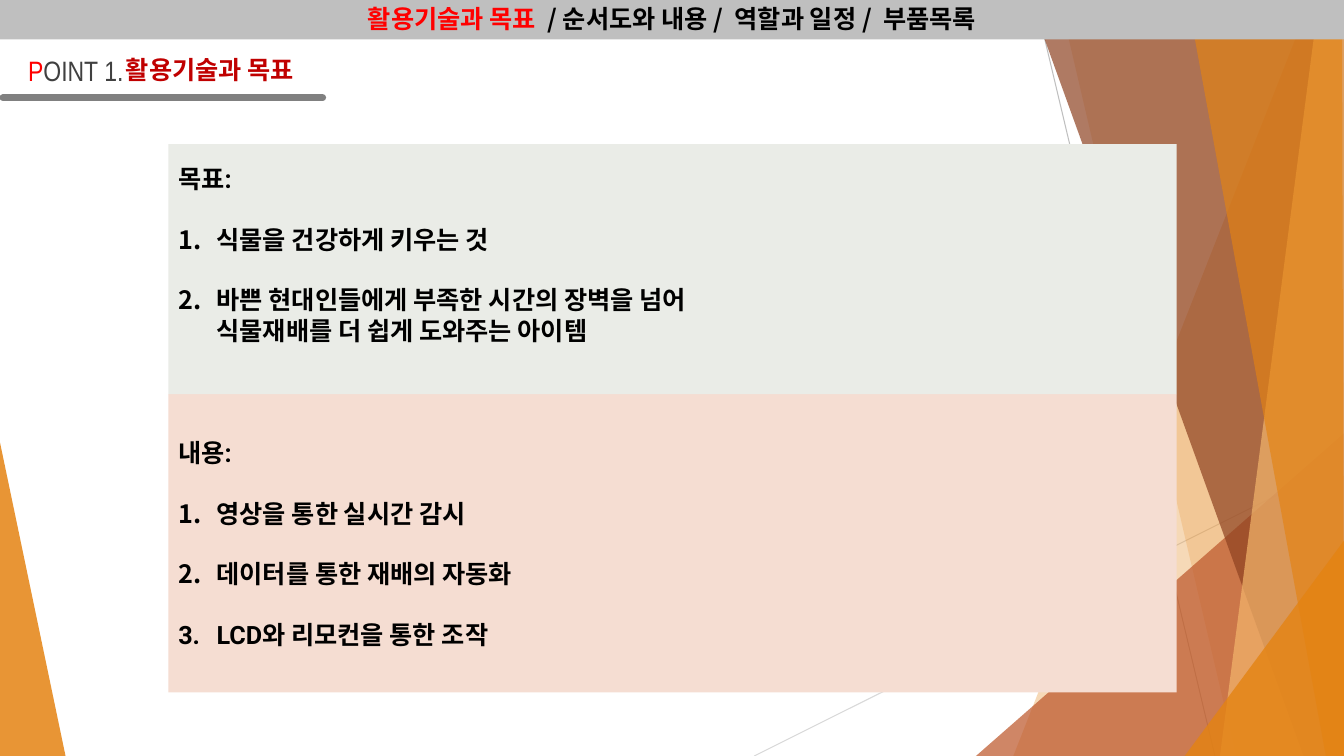
from dataclasses import dataclass

from pptx import Presentation
from pptx.dml.color import RGBColor
from pptx.enum.shapes import MSO_CONNECTOR, MSO_SHAPE
from pptx.enum.text import MSO_ANCHOR, PP_ALIGN
from pptx.oxml.ns import qn
from pptx.util import Inches, Pt


@dataclass(frozen=True)
class Theme:
    orange: str = "E48312"
    light_orange: str = "F3B56C"
    rust: str = "BD582C"
    brown: str = "8E4221"
    thin_line: str = "D9D9D9"
    bar: str = "BFBFBF"
    rule: str = "808080"
    goal_fill: str = "EAECE7"
    content_fill: str = "F5DDD2"
    black: str = "000000"
    dark: str = "404040"
    red: str = "FF0000"
    deep_red: str = "C00000"
    body_font: str = "Roboto"
    korean_font: str = "Noto Sans CJK KR"
    label_font: str = "Arial Narrow"
    text_size: int = 18
    label_size: int = 20


def add_text(paragraph, text, *, font, size, color, bold=False, east_asian=None):
    """Append a formatted run; a line feed in the text becomes a line break."""
    for index, line in enumerate(text.split("\n")):
        if index:
            paragraph.add_line_break()
        run = paragraph.add_run()
        run.text = line
        run.font.name = font
        run.font.size = Pt(size)
        run.font.bold = bold
        run.font.color.rgb = RGBColor.from_string(color)
        properties = run._r.get_or_add_rPr()
        properties.makeelement(qn("a:ea"), {})
        east = properties.makeelement(qn("a:ea"), {"typeface": east_asian or font})
        properties.find(qn("a:latin")).addnext(east)


class SlideBuilder:
    def __init__(self, slide, theme):
        self.shapes = slide.shapes
        self.theme = theme

    def paint(self, shape, color, opacity=100):
        shape.shadow.inherit = False
        shape.fill.solid()
        shape.fill.fore_color.rgb = RGBColor.from_string(color)
        shape.line.fill.background()
        if opacity < 100:
            color_element = shape._element.spPr.find(qn("a:solidFill"))[0]
            alpha = color_element.makeelement(qn("a:alpha"), {"val": str(opacity * 1000)})
            color_element.append(alpha)

    def polygon(self, points, color, opacity):
        corners = [(Inches(x), Inches(y)) for x, y in points]
        builder = self.shapes.build_freeform(*corners[0], scale=1.0)
        builder.add_line_segments(corners[1:], close=True)
        self.paint(builder.convert_to_shape(), color, opacity)

    def line(self, start, end, color, width, rounded=False):
        ends = [Inches(value) for value in (*start, *end)]
        connector = self.shapes.add_connector(MSO_CONNECTOR.STRAIGHT, *ends)
        connector.line.color.rgb = RGBColor.from_string(color)
        connector.line.width = Pt(width)
        if rounded:
            connector.line._get_or_add_ln().set("cap", "rnd")
        properties = connector._element.spPr
        properties.append(properties.makeelement(qn("a:effectLst"), {}))

    def rectangle(self, box, color):
        shape = self.shapes.add_shape(MSO_SHAPE.RECTANGLE, *map(Inches, box))
        self.paint(shape, color)
        shape.text_frame.word_wrap = True
        return shape.text_frame

    def text_box(self, box, wrap=True):
        frame = self.shapes.add_textbox(*map(Inches, box)).text_frame
        frame.word_wrap = wrap
        return frame.paragraphs[0]

    def numbered_panel(self, box, color, heading, items, top_margin):
        theme = self.theme
        frame = self.rectangle(box, color)
        frame.vertical_anchor = MSO_ANCHOR.TOP
        frame.margin_top = Inches(top_margin)
        for index, text in enumerate([heading, *items]):
            paragraph = frame.paragraphs[0] if index == 0 else frame.add_paragraph()
            paragraph.alignment = PP_ALIGN.LEFT
            if index:
                paragraph.space_before = Pt(21.7)
                properties = paragraph._p.get_or_add_pPr()
                properties.set("marL", str(Inches(0.38)))
                properties.set("indent", str(Inches(-0.38)))
                properties.append(properties.makeelement(
                    qn("a:buAutoNum"), {"type": "arabicPeriod"}))
            add_text(paragraph, text, font=theme.body_font, size=theme.text_size,
                     color=theme.black, bold=True, east_asian=theme.korean_font)


def main():
    presentation = Presentation()
    presentation.slide_width = Inches(13.33)
    presentation.slide_height = Inches(7.5)
    slide = presentation.slides.add_slide(presentation.slide_layouts[6])
    theme = Theme()
    builder = SlideBuilder(slide, theme)
    right, bottom = 13.34, 7.5

    # Background facets
    builder.polygon([(0, 4.39), (0.65, bottom), (0, bottom)], theme.orange, 85)
    builder.line((7.48, bottom), (13.35, 4.57), theme.thin_line, 0.75)
    builder.line((10.27, 0), (12.05, bottom), theme.bar, 0.75)
    facets = [
        ([(13, 0), (10.05, bottom), (right, bottom), (right, 0)], theme.orange, 30),
        ([(10.51, 0), (12.26, bottom), (right, bottom), (right, 0)], theme.orange, 20),
        ([(9.68, bottom), (right, 4.29), (right, bottom)], theme.rust, 72),
        ([(10.22, 0), (12.93, bottom), (right, bottom), (right, 0)], theme.brown, 70),
        ([(13.08, 0), (12.1, bottom), (right, bottom), (right, 0)], theme.light_orange, 70),
        ([(11.78, 0), (13.15, bottom), (13.33, bottom), (13.31, 0)], theme.orange, 65),
        ([(11.75, bottom), (right, 5.35), (right, bottom)], theme.orange, 80),
    ]
    for points, color, opacity in facets:
        builder.polygon(points, color, opacity)

    # Content and goal panels
    builder.numbered_panel(
        (1.67, 3.91, 10, 2.96), theme.content_fill, "내용:",
        ["영상을 통한 실시간 감시", "데이터를 통한 재배의 자동화",
         "LCD와 리모컨을 통한 조작"], top_margin=0.43)
    builder.numbered_panel(
        (1.67, 1.43, 10, 2.48), theme.goal_fill, "목표:",
        ["식물을 건강하게 키우는 것",
         "바쁜 현대인들에게 부족한 시간의 장벽을 넘어\n식물재배를 더 쉽게 도와주는 아이템"],
        top_margin=0.19)

    # Section title with its rule
    builder.line((0.03, 0.97), (3.2, 0.97), theme.rule, 5, rounded=True)
    label = builder.text_box((0.18, 0.48, 1.44, 0.44), wrap=False)
    for text, color in (("P", theme.red), ("OINT 1.", theme.dark)):
        add_text(label, text, font=theme.label_font, size=theme.label_size, color=color)
    korean_bold = dict(font=theme.korean_font, size=theme.text_size, bold=True)
    title = builder.text_box((1.15, 0.49, 2.2, 0.4))
    add_text(title, "활용기술과 목표", color=theme.deep_red, **korean_bold)

    # Navigation bar
    bar = builder.rectangle((0, -0.03, 13.33, 0.42), theme.bar)
    bar.vertical_anchor = MSO_ANCHOR.MIDDLE
    navigation = bar.paragraphs[0]
    navigation.alignment = PP_ALIGN.CENTER
    add_text(navigation, "활용기술과 목표  ", color=theme.red, **korean_bold)
    add_text(navigation, "/ 순서도와 내용 /  역할과 일정 /  부품목록",
             color=theme.black, **korean_bold)

    presentation.save("out.pptx")


if __name__ == "__main__":
    main()
